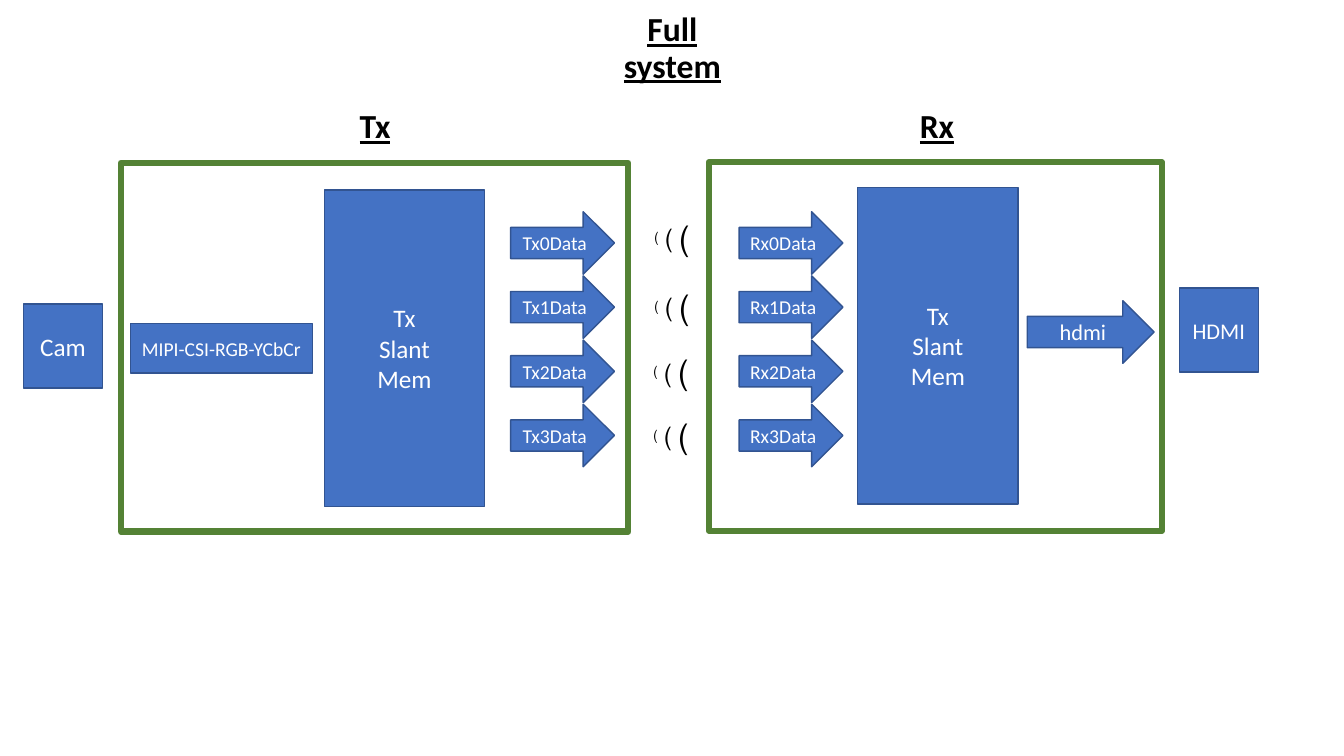
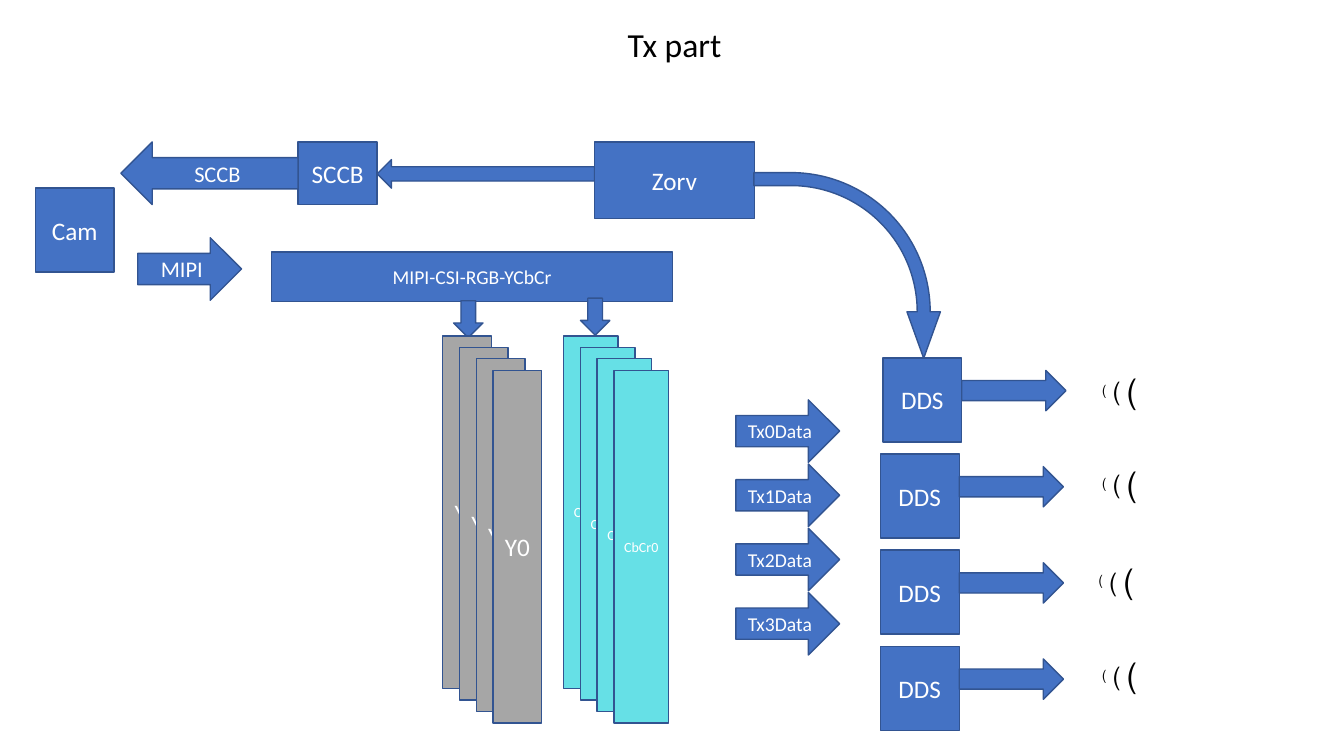
from pptx import Presentation
from pptx.dml.color import RGBColor as Rgb
from pptx.enum.shapes import MSO_SHAPE as Geo
from pptx.enum.text import MSO_ANCHOR as Anchor, MSO_AUTO_SIZE as Auto, PP_ALIGN as Align
from pptx.util import Inches, Pt

# Grid of 160 columns by 90 rows
COLS, ROWS = 160, 90
WIDE, HIGH = Inches(13.333), Inches(7.5)
FONT = "Calibri"
HUES = {
    "blue": "4472C4", "edge": "325491", "green": "548235",
    "grey": "A6A6A6", "cyan": "66E0E6", "white": "FFFFFF", "black": "000000",
}
# Sizes of repeated parts, in columns and rows
BOX = (9.4, 10)
ARROW = (12.36, 7.45)
HEAD = (19.9, 5.3)
MEM = (19.1, 37.7)
DATA_STEP = 7.64
# Wave marks: column and row offset, width, height, text size
WAVE = [(0, 1.4, 2.9, 3.2, 10), (1.2, 0.7, 3.4, 4.8, 18), (3, 0, 3.6, 6, 24)]


def hue(name):
    return Rgb.from_string(HUES[name])


def spot(col, row, wide, high):
    return (round(col * WIDE / COLS), round(row * HIGH / ROWS),
            round(wide * WIDE / COLS), round(high * HIGH / ROWS))


def write(frame, text, size=18, ink="white", align=Align.CENTER, bold=False,
          line=False, rtl=False, space=None, wrap=True, anchor=Anchor.MIDDLE,
          fit=Auto.NONE):
    frame.word_wrap, frame.auto_size = wrap, fit
    frame.vertical_anchor = anchor
    frame.text = text
    for para in frame.paragraphs:
        para.alignment = align
        if space:
            para.line_spacing = space
        if rtl:
            para._p.get_or_add_pPr().set("rtl", "1")
        for run in para.runs:
            font = run.font
            font.name, font.size = FONT, Pt(size)
            font.bold, font.underline = bold, line
            font.color.rgb = hue(ink)


def block(shapes, area, text="", size=18, geo=Geo.RECTANGLE, fill="blue",
          edge="edge", thick=1):
    part = shapes.add_shape(geo, *spot(*area))
    part.shadow.inherit = False
    if fill:
        part.fill.solid()
        part.fill.fore_color.rgb = hue(fill)
    else:
        part.fill.background()
    part.line.color.rgb = hue(edge)
    part.line.width = Pt(thick)
    if text:
        write(part.text_frame, text, size)
    return part


def arrow(shapes, area, text="", size=16, geo=Geo.RIGHT_ARROW):
    return block(shapes, area, text, size, geo)


def title(slide, area, text, **style):
    head = slide.shapes.title
    head.left, head.top, head.width, head.height = spot(*area)
    write(head.text_frame, text, size=24, ink="black", space=0.9, **style)


def label(shapes, col, row, text):
    box = shapes.add_textbox(*spot(col, row, *HEAD))
    write(box.text_frame, text, size=24, ink="black", space=0.9, bold=True, line=True)


def data(shapes, col, row, side):
    for k in range(4):
        arrow(shapes, (col, row + k * DATA_STEP, *ARROW), f"{side}{k}Data", 14)


def wave(shapes, col, row):
    group = shapes.add_group_shape()
    for right, down, wide, high, size in WAVE:
        mark = group.shapes.add_textbox(*spot(col + right, row + down, wide, high))
        write(mark.text_frame, ")", size, "black", Align.RIGHT, rtl=True,
              wrap=False, anchor=Anchor.TOP, fit=Auto.SHAPE_TO_FIT_TEXT)


def stack(shapes, col, wide, text, size, fill):
    for k in range(4):
        block(shapes, (col + 2 * k, 40 + 1.36 * k, wide, 42), text, size, fill=fill)


def system(slide):
    shapes = slide.shapes
    title(slide, (70.1, 3.2, *HEAD), "Full system", bold=True, line=True)
    # Ends of the chain
    block(shapes, (2.8, 36.2, *BOX), "Cam")
    block(shapes, (140.4, 34.3, *BOX), "HDMI", 16)
    # Sender and receiver
    block(shapes, (15.5, 38.5, 21.7, 5.9), "MIPI-CSI-RGB-YCbCr", 14)
    for side, col, row, lane in (("Tx", 38.6, 22.6, 60.8), ("Rx", 102.1, 22.3, 88)):
        block(shapes, (col, row, *MEM), "Tx\nSlant\nMem")
        data(shapes, lane, 25.2, side)
    arrow(shapes, (122.3, 35.8, 15.1, 7.45), "hdmi")
    # Radio link
    for col, row in ((76.7, 25.2), (76.7, 33.4), (76.6, 41.2), (76.6, 48.8)):
        wave(shapes, col, row)
    # Frames and headings
    for area in ((14.4, 19.4, 60.4, 43.9), (84.4, 19.3, 53.9, 43.9)):
        block(shapes, area, fill=None, edge="green", thick=4.5)
    label(shapes, 34.7, 12.6, "Tx")
    label(shapes, 101.6, 12.6, "Rx")


def sender(slide):
    shapes = slide.shapes
    title(slide, (70.8, 2.9, 19, 5.3), "Tx part")
    # Camera and its control
    block(shapes, (4.2, 22.4, *BOX), "Cam")
    arrow(shapes, (16.4, 28.3, *ARROW), "MIPI")
    arrow(shapes, (44.9, 19, 25.9, 3.4), geo=Geo.LEFT_ARROW)
    block(shapes, (70.8, 16.9, 19, 9.1), "Zorv")
    block(shapes, (35.5, 16.9, 9.4, 7.45), "SCCB")
    arrow(shapes, (14.4, 16.9, 21.1, 7.45), "SCCB", geo=Geo.LEFT_ARROW)
    bend = arrow(shapes, (89.8, 20.5, 22.1, 22.2), geo=Geo.BENT_ARROW)
    bend.rotation = 90
    for k, value in enumerate((0.07, 0.09, 0.25, 0.75)):
        bend.adjustments[k] = value
    # Converter and memory stacks
    block(shapes, (32.3, 30, 47.8, 5.9), "MIPI-CSI-RGB-YCbCr", 14)
    arrow(shapes, (54, 35.8, 3.5, 4.4), geo=Geo.DOWN_ARROW)
    group = shapes.add_group_shape().shapes
    stack(group, 52.7, 5.8, "Y0", 18, "grey")
    stack(group, 67.1, 6.5, "CbCr0", 10, "cyan")
    arrow(shapes, (69.1, 35.5, 3.5, 4.4), geo=Geo.DOWN_ARROW)
    # Data lanes and outputs
    data(shapes, 87.6, 47.6, "Tx")
    lanes = ((105.1, 130, 43.4), (104.8, 130, 54.5),
             (104.8, 129.6, 66.1), (104.8, 130, 77.3))
    for k, (col, air, row) in enumerate(lanes):
        top = 42.6 + 11.45 * k
        block(shapes, (col, top, *BOX), "DDS")
        arrow(shapes, (col + BOX[0], top + 1.5, 12.4, 4.8))
        wave(shapes, air, row)


def main():
    deck = Presentation()
    deck.slide_width, deck.slide_height = WIDE, HIGH
    plain = deck.slide_layouts.get_by_name("Title Only")
    for draw in (system, sender):
        draw(deck.slides.add_slide(plain))
    deck.save("out.pptx")


main()
